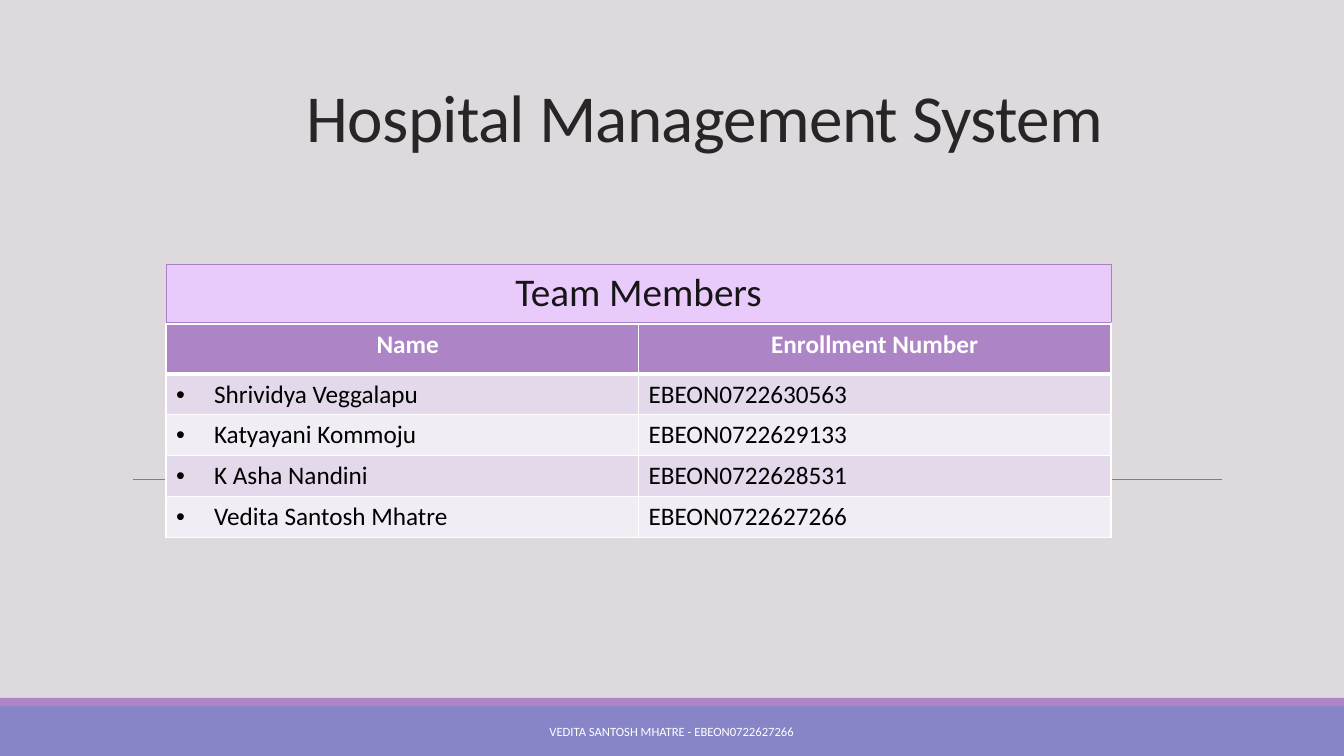
"""Build the team slide of the Hospital Management System deck."""
from lxml import etree
from pptx import Presentation
from pptx import util as u
from pptx.dml.color import RGBColor
from pptx.enum import shapes, text
from pptx.oxml import ns

TITLE = "Hospital Management System"
FOOT = "VEDITA SANTOSH MHATRE - EBEON0722627266"
TEAM = [["Team Members"]]
ROWS = [
    ("Name", "Enrollment Number"),
    ("Shrividya Veggalapu", "EBEON0722630563"),
    ("Katyayani Kommoju", "EBEON0722629133"),
    ("K Asha Nandini", "EBEON0722628531"),
    ("Vedita Santosh Mhatre", "EBEON0722627266"),
]
GREY = RGBColor(0xDD, 0xD9, 0xDD)
BLUE = RGBColor(0x87, 0x84, 0xC7)
PLUM = RGBColor(0xAD, 0x84, 0xC6)
EDGE = RGBColor(0xAA, 0x7F, 0xC3)
LILAC = RGBColor(0xE8, 0xCA, 0xFB)
BANDS = RGBColor(0xE3, 0xD9, 0xEA), RGBColor(0xF1, 0xED, 0xF5)
RULE = RGBColor(0x80, 0x80, 0x80)
DARK = RGBColor(0x26, 0x26, 0x26)
INK = RGBColor(0x17, 0x15, 0x17)
BLACK = RGBColor(0, 0, 0)
WHITE = RGBColor(0xFF, 0xFF, 0xFF)
CENTER = text.PP_ALIGN.CENTER
LEFT = text.PP_ALIGN.LEFT

BARS = [((0, 706, 1344, 50), BLUE), ((0, 698, 1344, 8), PLUM)]
LINE = (133, 479, 1222, 479)
HEAD = (201, 31, 1008, 130)
NOTE = (406, 712, 531, 40)
CAP = (166, 264, 945, 55)
GRID = (166, 324, 945, 202)
INDENT = 38
SCALE = u.Inches(7.5) / 756


def px(*vals):
    return [round(v * SCALE) for v in vals]


def write(frame, words, size, color, align=CENTER, bold=False):
    frame.text = words
    para = frame.paragraphs[0]
    para.alignment = align
    run = para.runs[0]
    look = {"name": "Calibri", "size": u.Pt(size), "bold": bold}
    for key, val in look.items():
        setattr(run.font, key, val)
    run.font.color.rgb = color
    return para


def border(cell, color, width, base):
    props = cell._tc.get_or_add_tcPr()
    for spot, side in enumerate("LRTB"):
        wide = u.Pt(base if side == "B" else width)
        line = etree.Element(ns.qn(f"a:ln{side}"), w=str(int(wide)))
        fill = etree.SubElement(line, ns.qn("a:solidFill"))
        etree.SubElement(fill, ns.qn("a:srgbClr"), val=str(color))
        props.insert(spot, line)


def bullet(para):
    props = para._p.get_or_add_pPr()
    gap = px(INDENT)[0]
    props.set("marL", str(gap))
    props.set("indent", str(-gap))
    etree.SubElement(props, ns.qn("a:buFont"), typeface="Arial")
    etree.SubElement(props, ns.qn("a:buChar"), char="•")


def table(slide, rows, box, highs):
    grid = slide.shapes.add_table(len(rows), len(rows[0]), *px(*box)).table
    for row, high in zip(grid.rows, highs):
        row.height = px(high)[0]
    return grid


def paint(cell, color):
    cell.fill.solid()
    cell.fill.fore_color.rgb = color


def main():
    deck = Presentation()
    deck.slide_width, deck.slide_height = px(1344, 756)
    slide = deck.slides.add_slide(deck.slide_layouts[5])
    back = slide.background.fill
    back.solid()
    back.fore_color.rgb = GREY

    for box, color in BARS:
        bar = slide.shapes.add_shape(shapes.MSO_SHAPE.RECTANGLE, *px(*box))
        bar.shadow.inherit = False
        bar.fill.solid()
        bar.fill.fore_color.rgb = color
        bar.line.fill.background()

    rule = slide.shapes.add_connector(shapes.MSO_CONNECTOR.STRAIGHT, *px(*LINE))
    rule.line.color.rgb = RULE
    rule.line.width = u.Pt(0.5)
    etree.SubElement(rule._element.spPr, ns.qn("a:effectLst"))

    title = slide.shapes.title
    for key, val in zip(("left", "top", "width", "height"), px(*HEAD)):
        setattr(title, key, val)
    note = slide.shapes.add_textbox(*px(*NOTE))
    for shape, anchor in (
        (title, text.MSO_ANCHOR.BOTTOM),
        (note, text.MSO_ANCHOR.MIDDLE),
    ):
        look = {
            "word_wrap": True,
            "auto_size": text.MSO_AUTO_SIZE.NONE,
            "vertical_anchor": anchor,
        }
        for key, val in look.items():
            setattr(shape.text_frame, key, val)
    para = write(title.text_frame, TITLE, 48, DARK)
    para.line_spacing = 0.85
    para.runs[0]._r.get_or_add_rPr().set("spc", "-50")
    write(note.text_frame, FOOT, 9, WHITE)

    grid = table(slide, ROWS, GRID, [50] + [38] * 4)
    for i, row in enumerate(ROWS):
        for j, words in enumerate(row):
            cell = grid.cell(i, j)
            if i == 0:
                write(cell.text_frame, words, 18, WHITE, bold=True)
                paint(cell, PLUM)
            else:
                para = write(cell.text_frame, words, 18, BLACK, LEFT)
                paint(cell, BANDS[(i - 1) % 2])
                if j == 0:
                    bullet(para)
            border(cell, WHITE, 1, 1 if i else 3)
    grid.cell(0, 0).margin_left = px(21)[0]

    cell = table(slide, TEAM, CAP, [55]).cell(0, 0)
    write(cell.text_frame, TEAM[0][0], 28, INK)
    paint(cell, LILAC)
    border(cell, EDGE, 0.75, 0.75)
    deck.save("out.pptx")


if __name__ == "__main__":
    main()
